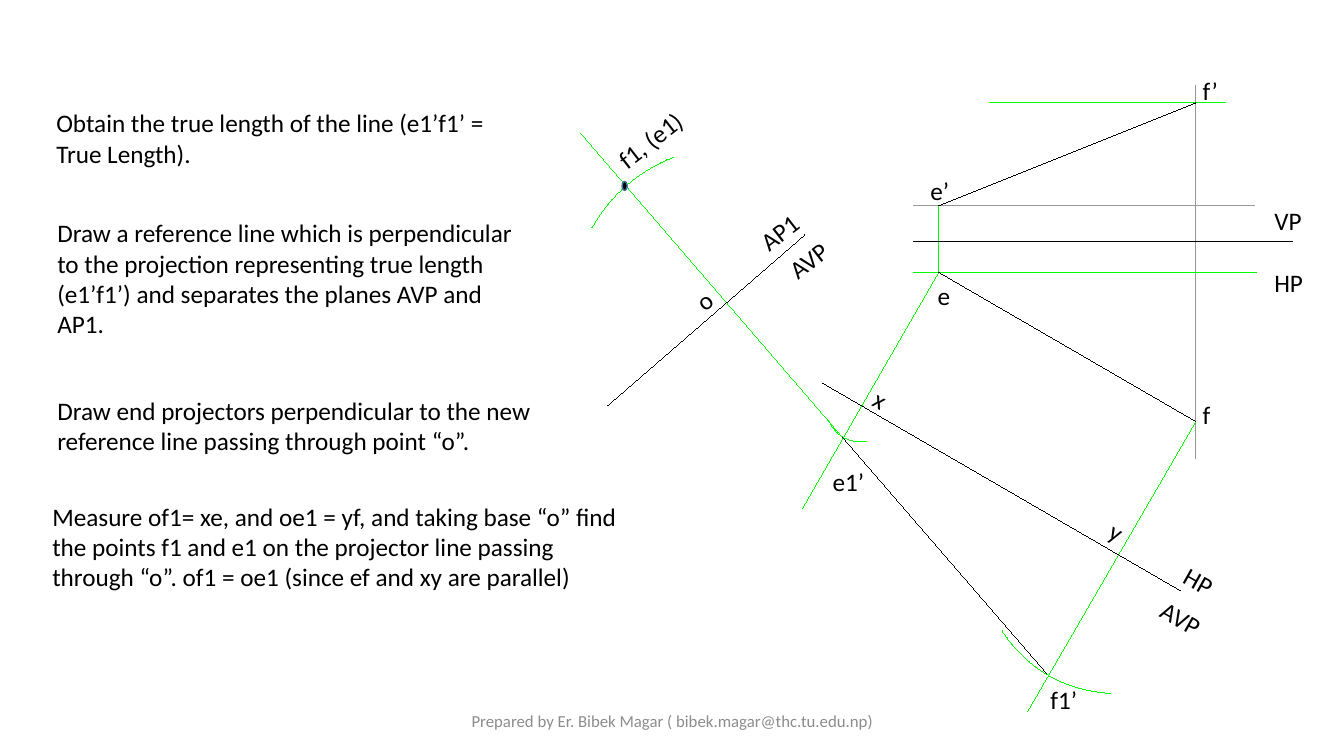
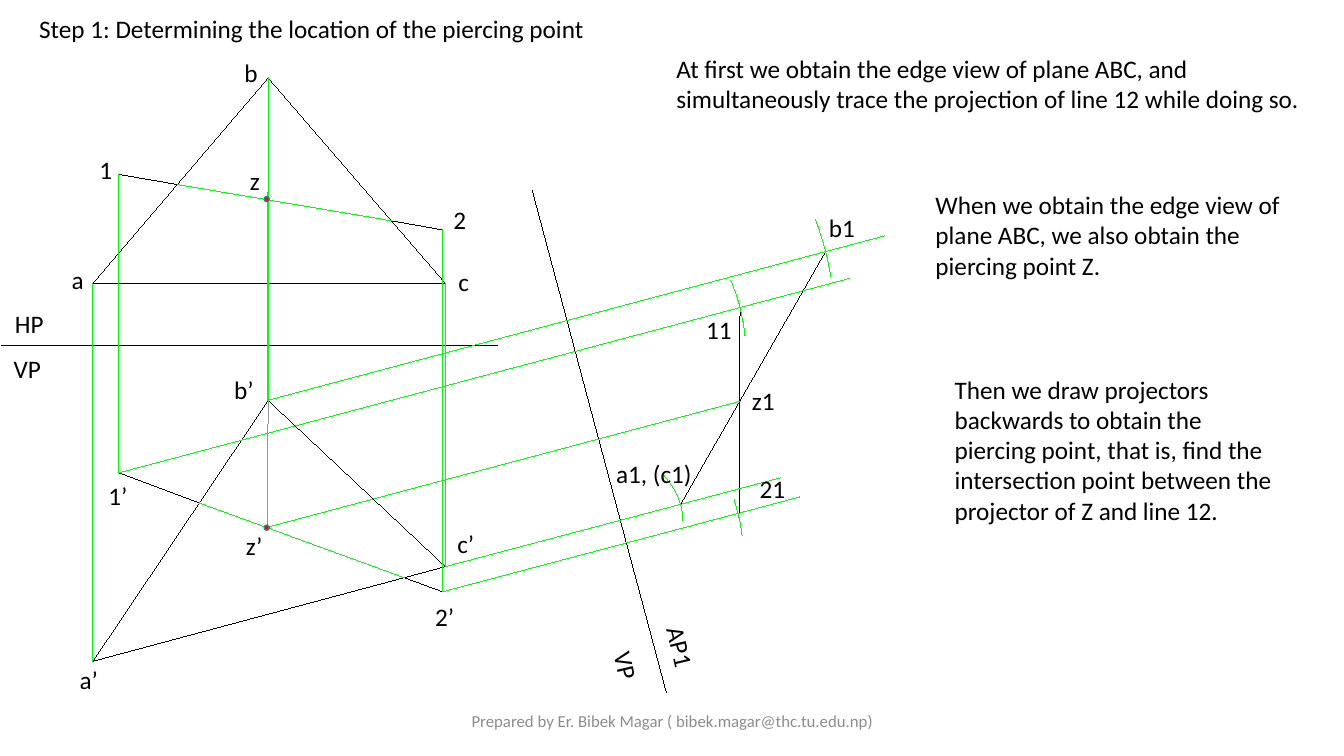
from dataclasses import dataclass

from lxml import etree
from pptx import Presentation
from pptx import util as u
from pptx.dml.color import RGBColor
from pptx.enum import shapes, text
from pptx.oxml.ns import qn


@dataclass(frozen=True)
class Theme:
    font: str = "Calibri"
    ink: str = "000000"
    projector: str = "00FF00"
    guide: str = "969696"
    muted: str = "8C8C8C"
    piercing: str = "FF0000"
    dot_edge: str = "43739E"
    body: int = 18
    footer: int = 12
    arc_steps: int = 16


@dataclass(frozen=True)
class Box:
    col: float
    row: float

    def point(self, p):
        return u.Inches(self.col + p[0]), u.Inches(self.row + p[1])


T = Theme()
COLUMNS, ROWS = 13.33, 7.5
LABEL_HEIGHT = 0.4
PAGE = Box(0, 0)


def rgb(value):
    return RGBColor.from_string(value)


def add_text(s, box, content, col, row, width, height=LABEL_HEIGHT, *, size=T.body,
             color=T.ink, align=text.PP_ALIGN.LEFT, anchor=text.MSO_ANCHOR.TOP, rotation=0):
    sp = s.shapes.add_textbox(*box.point((col, row)), u.Inches(width), u.Inches(height))
    sp.rotation = rotation
    tf = sp.text_frame
    tf.word_wrap = True
    tf.vertical_anchor = anchor
    p = tf.paragraphs[0]
    p.alignment = align
    r = p.add_run()
    r.text = content
    r.font.name = T.font
    r.font.size = u.Pt(size)
    r.font.color.rgb = rgb(color)


def hairline(sp, color):
    sp.line.color.rgb = rgb(color)
    sp._element.spPr.find(qn("a:ln")).set("w", "0")


def add_lines(s, box, color, segments):
    for start, end in segments:
        line = s.shapes.add_connector(
            shapes.MSO_CONNECTOR.STRAIGHT, *box.point(start), *box.point(end))
        hairline(line, color)
        etree.SubElement(line._element.spPr, qn("a:effectLst"))


def add_arc(s, box, start, middle, end):
    def at(t):
        return [(1 - t) ** 2 * a + 2 * t * (1 - t) * (2 * m - (a + b) / 2) + t ** 2 * b
                for a, m, b in zip(start, middle, end)]

    points = [box.point(at(i / T.arc_steps)) for i in range(T.arc_steps + 1)]
    outline = s.shapes.build_freeform(*points[0], scale=1.0)
    outline.add_line_segments(points[1:], close=False)
    sp = outline.convert_to_shape()
    sp.fill.background()
    sp.shadow.inherit = False
    hairline(sp, T.projector)


def add_dot(s, box, col, row, width, height, color):
    sp = s.shapes.add_shape(shapes.MSO_SHAPE.OVAL, *box.point((col, row)),
                            u.Inches(width), u.Inches(height))
    sp.fill.solid()
    sp.fill.fore_color.rgb = rgb(color)
    sp.line.color.rgb = rgb(T.dot_edge)
    sp.line.width = u.Pt(1)
    sp.shadow.inherit = False


def add_texts(s, box, items, **fmt):
    for item in items:
        add_text(s, box, *item, **fmt)


def new_slide(prs):
    s = prs.slides.add_slide(prs.slide_layouts[6])
    add_text(s, PAGE, "Prepared by Er. Bibek Magar ( bibek.magar@thc.tu.edu.np)",
             4.42, 6.95, 4.5, size=T.footer, color=T.muted,
             align=text.PP_ALIGN.CENTER, anchor=text.MSO_ANCHOR.MIDDLE)
    return s


def true_length_diagram(s, box):
    e_front, f_front = (4.31, 2.04), (6.86, 1.02)
    e_top, f_top = (4.31, 2.7), (6.86, 4.18)
    e_aux, f_aux = (3.36, 4.34), (5.4, 6.7)
    add_lines(s, box, T.guide, [
        ((4.06, 2.04), (7.44, 2.04)),
        ((6.86, 0.85), (6.86, 4.55)),
    ])
    add_lines(s, box, T.projector, [
        ((4.81, 1.02), (7.15, 1.02)),
        ((4.06, 2.7), (7.46, 2.7)),
        (e_top, (2.96, 5.04)),
        (f_top, (5.19, 7.06)),
        ((0.76, 1.32), e_aux),
        (e_top, e_front),
    ])
    add_lines(s, box, T.ink, [
        ((4.06, 2.4), (7.82, 2.4)),
        (e_front, f_front),
        (e_top, f_top),
        ((3.16, 3.8), (6.71, 5.86)),
        (e_aux, f_aux),
        ((2.98, 2.33), (1.03, 4.02)),
    ])
    add_arc(s, box, (3.22, 4.17), (3.37, 4.34), (3.59, 4.38))
    add_arc(s, box, (4.94, 6.26), f_aux, (6.01, 6.88))
    add_arc(s, box, (1.68, 1.56), (1.21, 1.84), (0.87, 2.26))
    add_dot(s, box, 1.17, 1.8, 0.05, 0.09, T.ink)
    add_texts(s, box, [
        ("VP", 7.54, 1.99, 0.51),
        ("HP", 7.54, 2.6, 0.51),
        ("e’", 4.13, 1.69, 0.51),
        ("f’", 6.83, 0.7, 0.51),
        ("e", 4.2, 2.73, 0.51),
        ("f", 6.83, 3.91, 0.51),
        ("f1’", 5.32, 6.74, 0.51),
        ("e1’", 3.16, 4.58, 0.69),
    ])
    add_texts(s, box, [
        ("AVP", 6.41, 5.94, 0.64),
        ("HP", 6.64, 5.6, 0.64),
        ("x", 3.56, 3.85, 0.64),
        ("y", 5.9, 5.15, 0.64),
    ], rotation=29.3)
    add_texts(s, box, [
        ("AVP", 2.71, 2.37, 0.64),
        ("AP1", 2.41, 2.05, 0.78),
        ("f1, (e1)", 0.98, 1.17, 0.98),
        ("o", 1.77, 2.64, 0.78),
    ], rotation=322.2)


def piercing_point_diagram(s, box):
    a_top, b_top, c_top = (0.92, 2.81), (2.66, 0.77), (4.42, 2.81)
    a_front, b_front, c_front = (0.92, 6.56), (2.66, 3.97), (4.42, 5.62)
    one_top, two_top = (1.18, 1.73), (4.39, 2.28)
    one_front, two_front = (1.18, 4.69), (4.39, 5.87)
    enter_top, leave_top = (1.76, 1.83), (3.88, 2.19)
    enter_front, leave_front = (1.98, 4.99), (4.01, 5.73)
    z_top, z_front, z_edge = (2.65, 1.91), (2.65, 5.23), (7.34, 3.98)
    add_lines(s, box, T.guide, [(z_front, b_front)])
    add_lines(s, box, T.ink, [
        (a_top, b_top), (a_top, c_top), (c_top, b_top),
        (one_top, enter_top), (leave_top, two_top),
        (b_front, a_front), (a_front, c_front), (c_front, b_front),
        (one_front, enter_front), (leave_front, two_front),
        ((0.02, 3.43), (4.93, 3.43)),
        ((5.28, 1.89), (6.61, 6.87)),
        ((6.75, 5), (8.19, 2.49)),
        ((7.33, 5.09), (7.34, 3.05)),
    ])
    add_lines(s, box, T.projector, [
        (a_top, a_front), (b_top, b_front), (c_top, c_front),
        (one_top, one_front), (two_top, two_front),
        (c_front, (7.74, 4.74)),
        (two_front, (7.93, 4.93)),
        (b_front, (8.77, 2.34)),
        (one_front, (8.43, 2.76)),
        (enter_top, leave_top), (enter_front, leave_front),
        (z_edge, z_front), ((2.65, 3.97), z_top),
    ])
    for arc in [
        ((8.24, 2.74), (8.18, 2.46), (8.09, 2.18)),
        ((6.77, 5.16), (6.73, 4.94), (6.59, 4.72)),
        ((7.39, 3.33), (7.34, 3.05), (7.25, 2.78)),
        ((7.36, 5.31), (7.33, 5.13), (7.28, 4.96)),
    ]:
        add_arc(s, box, *arc)
    add_texts(s, box, [
        ("VP", -0.08, 3.46, 0.7),
        ("HP", -0.06, 3.01, 0.7),
        ("a", 0.59, 2.57, 0.36),
        ("b", 2.31, 0.52, 0.36),
        ("c", 4.42, 2.59, 0.36),
        ("a’", 0.59, 6.54, 0.58),
        ("b’", 2.13, 3.66, 0.58),
        ("c’", 4.33, 5.19, 0.58),
        ("a1, (c1)", 5.84, 4.5, 1.29),
        ("b1", 8.06, 2.06, 0.58),
        ("1", 0.76, 1.48, 0.58),
        ("2", 4.27, 1.98, 0.58),
        ("2’", 4.12, 5.92, 0.58),
        ("1’", 0.88, 4.72, 0.58),
        ("11", 6.84, 3.07, 0.58),
        ("21", 7.37, 4.65, 0.58),
    ], align=text.PP_ALIGN.CENTER)
    add_texts(s, box, [
        ("VP", 5.86, 6.4, 0.7),
        ("AP1", 6.4, 6.22, 0.7),
    ], align=text.PP_ALIGN.CENTER, rotation=76.7)
    add_texts(s, box, [
        ("z", 2.38, 1.59, 0.35),
        ("z’", 2.34, 5.21, 0.45),
        ("z1", 7.36, 3.77, 0.48),
    ])
    for row in (1.95, 5.21):
        add_dot(s, box, 2.62, row, 0.05, 0.05, T.piercing)


def true_length_slide(prs):
    s = new_slide(prs)
    true_length_diagram(s, Box(5, 0))
    add_texts(s, PAGE, [
        ("Obtain the true length of the line (e1’f1’ = True Length).",
         0.46, 1.02, 4.75, 0.71),
        ("Draw a reference line which is perpendicular to the projection representing "
         "true length (e1’f1’) and separates the planes AVP and AP1.",
         0.47, 2.11, 4.75, 1.31),
        ("Draw end projectors perpendicular to the new reference line passing through "
         "point “o”.", 0.47, 3.87, 5.04, 0.71),
        ("Measure of1= xe, and oe1 = yf, and taking base “o” find the points f1 and e1 "
         "on the projector line passing through “o”. of1 = oe1 (since ef and xy are "
         "parallel)", 0.42, 4.92, 5.81, 1.01),
    ])


def piercing_point_slide(prs):
    s = new_slide(prs)
    piercing_point_diagram(s, PAGE)
    add_texts(s, PAGE, [
        ("Step 1: Determining the location of the piercing point", 0.29, 0.08, 5.92),
        ("At first we obtain the edge view of plane ABC, and simultaneously trace the "
         "projection of line 12 while doing so.", 6.61, 0.48, 6.49, 0.71),
        ("When we obtain the edge view of plane ABC, we also obtain the piercing "
         "point Z.", 9.18, 1.83, 3.92, 1.01),
        ("Then we draw projectors backwards to obtain the piercing point, that is, find "
         "the intersection point between the projector of Z and line 12.",
         9.37, 3.66, 3.5, 1.62),
    ])


def main():
    prs = Presentation()
    prs.slide_width, prs.slide_height = u.Inches(COLUMNS), u.Inches(ROWS)
    true_length_slide(prs)
    piercing_point_slide(prs)
    prs.save("out.pptx")


if __name__ == "__main__":
    main()
